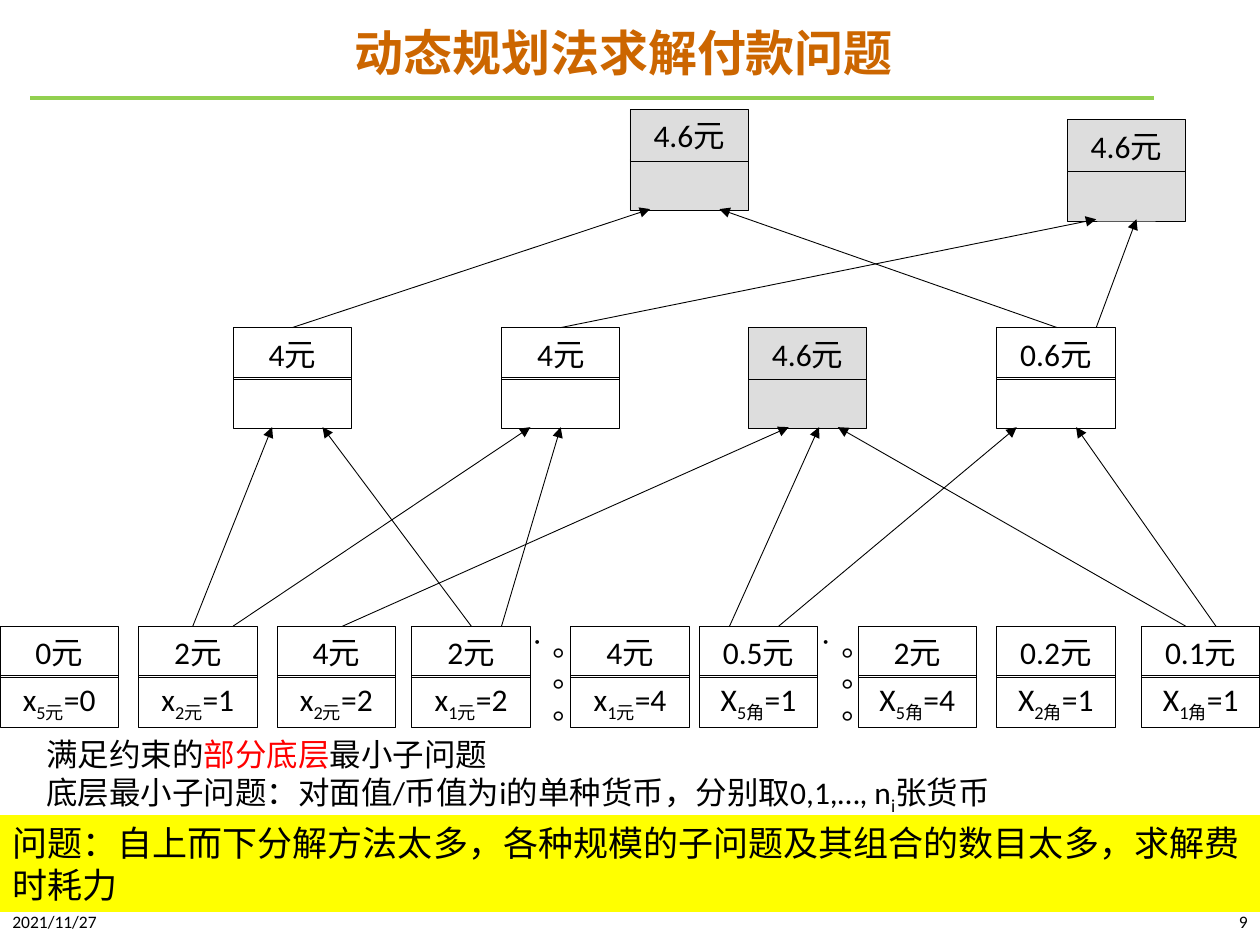
"""Build the slide on splitting the payment problem into subproblems."""
from dataclasses import dataclass
from typing import Optional

import lxml.etree
import pptx
import pptx.dml.color
import pptx.enum.shapes
import pptx.enum.text
import pptx.oxml.ns
import pptx.util

Pt = pptx.util.Pt
RGB = pptx.dml.color.RGBColor
Align = pptx.enum.text.PP_ALIGN
Anchor = pptx.enum.text.MSO_ANCHOR
Kind = pptx.enum.shapes.MSO_SHAPE
Wire = pptx.enum.shapes.MSO_CONNECTOR

BLACK = RGB(0, 0, 0)
RED = RGB(255, 0, 0)
GREY = RGB(0xDD, 0xDD, 0xDD)
GREEN = RGB(0x92, 0xD0, 0x50)
ORANGE = RGB(0xCC, 0x66, 0x00)
YELLOW = RGB(255, 255, 0)
LATIN = "Calibri"
HAN = "Noto Sans CJK SC"

WIDE, HIGH, STEP = 67.7, 29.5, 28.4
LEAF, MID = 357.8, 187.2
FOOT = 56.9


@dataclass
class Run:
    text: str
    color: RGB = BLACK
    sub: bool = False


@dataclass
class Node:
    left: float
    top: float
    value: str
    fill: Optional[RGB] = None
    count: tuple[str, ...] = ()


@dataclass
class Arrow:
    x: float
    y: float
    endx: float
    endy: float


LEAVES = [
    Node(left, LEAF, value, None, count)
    for left, value, count in (
        (0, "0元", ("x", "5元", "=0")),
        (79.2, "2元", ("x", "2元", "=1")),
        (158.4, "4元", ("x", "2元", "=2")),
        (235.4, "2元", ("x", "1元", "=2")),
        (326.2, "4元", ("x", "1元", "=4")),
        (399.6, "0.5元", ("X", "5角", "=1")),
        (490.3, "2元", ("X", "5角", "=4")),
        (569.5, "0.2元", ("X", "2角", "=1")),
        (652.3, "0.1元", ("X", "1角", "=1")),
    )
]
UPPER = [
    Node(133.2, MID, "4元"),
    Node(286.6, MID, "4元"),
    Node(427.7, MID, "4.6元", GREY),
    Node(569.5, MID, "0.6元"),
    Node(360, 62.6, "4.6元", GREY),
    Node(609.8, 68.4, "4.6元", GREY),
]
LINKS = [
    Arrow(x, LEAF, end, MID + FOOT)
    for x, end in (
        (110.2, 155.5), (269.3, 184.3), (133.2, 303.1), (286.6, 320.4),
        (195.8, 450.7), (416.9, 468), (677.5, 478.8), (445, 581),
        (694.8, 614.9),
    )
] + [
    Arrow(167, MID, 371.5, 119.5),
    Arrow(604.1, MID, 411.1, 119.5),
    Arrow(320.4, MID, 626.4, 125.3),
    Arrow(626.4, MID, 649.4, 125.3),
]


def write(frame, lines: list[list[Run]], size: float, align=Align.LEFT,
          font: str = LATIN, bold: bool = False) -> None:
    """Fill a text frame, one list of runs per paragraph."""
    for num, line in enumerate(lines):
        para = frame.add_paragraph() if num else frame.paragraphs[0]
        para.alignment = align
        for item in line:
            run = para.add_run()
            run.text = item.text
            run.font.size = Pt(size)
            run.font.name = font
            run.font.bold = bold
            run.font.color.rgb = item.color
            props = run.font._element
            east = lxml.etree.SubElement(props, pptx.oxml.ns.qn("a:ea"))
            east.set("typeface", HAN)
            if item.sub:
                props.set("baseline", "-25000")


def label(slide, left: float, top: float, wide: float, high: float,
          anchor=Anchor.TOP, wrap: bool = True):
    """Add an empty text box and return its frame."""
    box = slide.shapes.add_textbox(Pt(left), Pt(top), Pt(wide), Pt(high))
    frame = box.text_frame
    frame.word_wrap = wrap
    frame.vertical_anchor = anchor
    return frame


def block(slide, left: float, top: float, wide: float, high: float,
          fill: Optional[RGB], edge: bool = True):
    """Add a flat rectangle and return its frame."""
    box = slide.shapes.add_shape(
        Kind.RECTANGLE, Pt(left), Pt(top), Pt(wide), Pt(high))
    box.shadow.inherit = False
    if fill is None:
        box.fill.background()
    else:
        box.fill.solid()
        box.fill.fore_color.rgb = fill
    if edge:
        box.line.color.rgb = BLACK
        box.line.width = Pt(0.5)
    else:
        box.line.fill.background()
    return box.text_frame


def draw(slide, node: Node) -> None:
    """Draw a node as a count cell under a value cell."""
    low = block(slide, node.left, node.top + STEP, WIDE, HIGH, node.fill)
    high = block(slide, node.left, node.top, WIDE, HIGH, node.fill)
    for frame, runs in (
        (low, [Run(part, sub=num == 1) for num, part in enumerate(node.count)]),
        (high, [Run(node.value)]),
    ):
        frame.word_wrap = False
        frame.vertical_anchor = Anchor.MIDDLE
        write(frame, [runs], 18, Align.CENTER)


def join(slide, arrow: Arrow, color: RGB = BLACK, width: float = 0.5,
         head: bool = True) -> None:
    """Draw a straight line, with an arrowhead at its end if asked."""
    wire = slide.shapes.add_connector(
        Wire.STRAIGHT, Pt(arrow.x), Pt(arrow.y), Pt(arrow.endx), Pt(arrow.endy))
    wire.line.color.rgb = color
    wire.line.width = Pt(width)
    if head:
        tip = lxml.etree.SubElement(
            wire.line._get_or_add_ln(), pptx.oxml.ns.qn("a:tailEnd"))
        tip.set("type", "triangle")
    lxml.etree.SubElement(
        wire._element.spPr, pptx.oxml.ns.qn("a:effectLst"))


def main() -> None:
    """Build and save the deck."""
    deck = pptx.Presentation()
    deck.slide_width, deck.slide_height = Pt(720), Pt(540)
    slide = deck.slides.add_slide(deck.slide_layouts[6])

    join(slide, Arrow(17.3, 56.2, 659.5, 56.2), GREEN, 2.25, False)
    title = label(slide, 46.1, 7.2, 620.6, 49, Anchor.MIDDLE)
    write(title, [[Run("动态规划法求解付款问题", ORANGE)]], 28,
          Align.CENTER, HAN, True)
    title.paragraphs[0].line_spacing = 0.9

    for left, text, align in ((0, "2021/11/27", Align.LEFT),
                              (558, "9", Align.RIGHT)):
        foot = label(slide, left, 514.1, 162, 24.5, Anchor.MIDDLE)
        write(foot, [[Run(text)]], 10, align)

    for node in LEAVES + UPPER:
        draw(slide, node)
    for link in LINKS:
        join(slide, link)

    for left in (291.6, 456.5):
        dots = label(slide, left, LEAF, 36, 66.2, wrap=False)
        dots._txBody.bodyPr.set("vert", "eaVert")
        write(dots, [[Run(".。。。")]], 18)

    note = label(slide, 19.4, 416.5, 610, 49.3)
    write(note, [
        [Run("满足约束的"), Run("部分底层", RED), Run("最小子问题")],
        [Run("底层最小子问题：对面值/币值为i的单种货币，分别取0,1,…, n"),
         Run("i", sub=True), Run("张货币")],
    ], 18)

    alert = block(slide, 0, 465.8, 720, 55.4, YELLOW, False)
    alert.word_wrap = True
    alert.vertical_anchor = Anchor.TOP
    write(alert, [[Run("问题：自上而下分解方法太多，各种规模的子问题及其组合的"
                       "数目太多，求解费时耗力")]], 20)
    deck.save("out.pptx")


if __name__ == "__main__":
    main()
